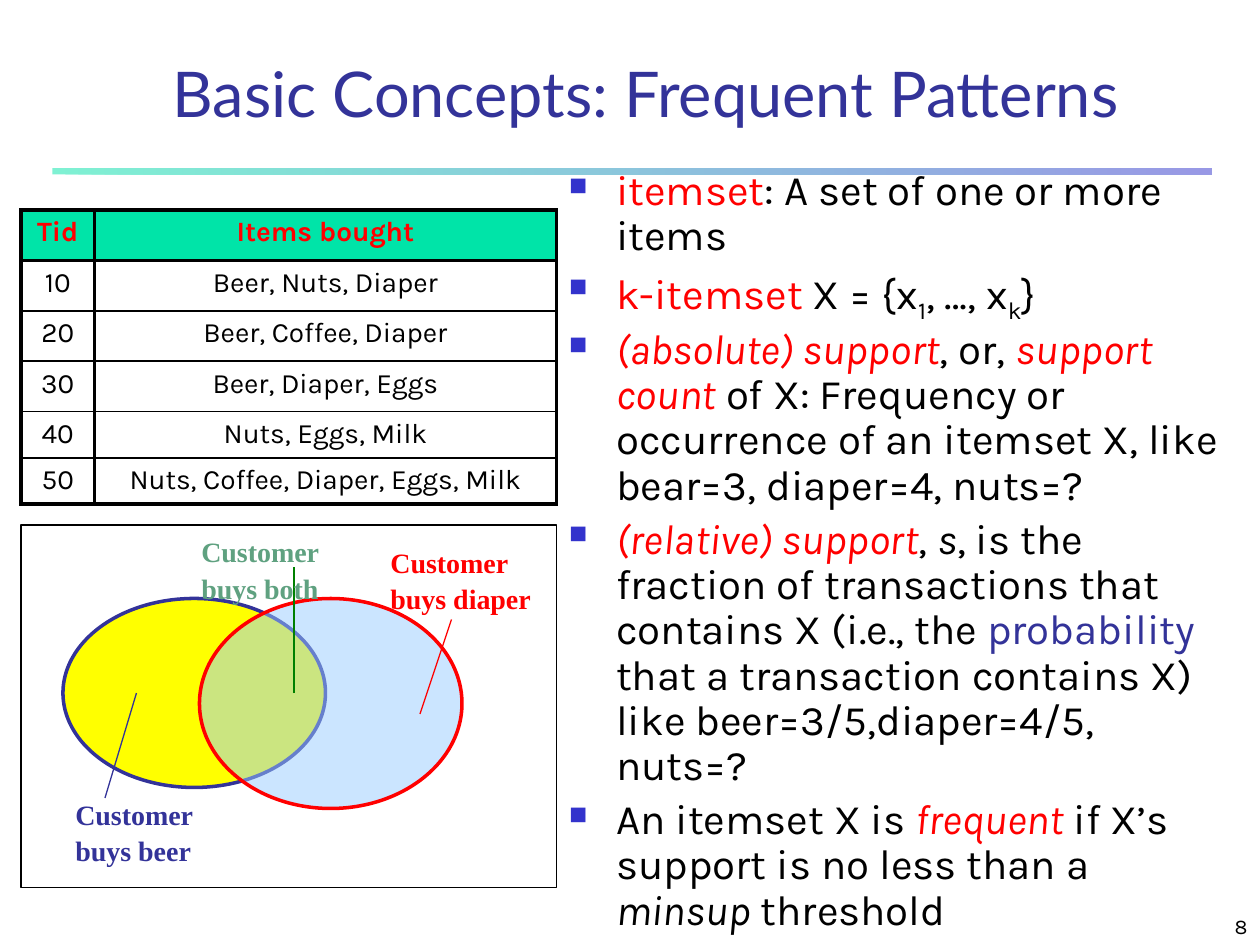
from typing import NamedTuple, Optional

from lxml.etree import SubElement
from pptx import Presentation
from pptx.dml.color import RGBColor
from pptx.enum.shapes import MSO_CONNECTOR, MSO_SHAPE
from pptx.enum.text import MSO_ANCHOR, PP_ALIGN
from pptx.oxml.ns import qn
from pptx.util import Emu, Pt

PX = 7620  # EMU in one px, 120 px to the inch
BLACK, RED, NAVY, BLUE, MINT = "000000", "FF0000", "333399", "3333CC", "00E4A8"
BODY_FONT, TITLE_FONT, LABEL_FONT = "Karla", "Lato", "Times New Roman"


class Span(NamedTuple):
    text: str
    color: str = BLACK
    italic: bool = False
    subscript: bool = False


class Oval(NamedTuple):
    box: tuple
    fill: str
    line: str
    opacity: Optional[int] = None


class Pointer(NamedTuple):
    start: tuple
    end: tuple
    color: str


class Label(NamedTuple):
    box: tuple
    lines: tuple
    color: str


BULLETS = [
    [Span("itemset", RED), Span(": A set of one or more items")],
    [Span("k-itemset", RED), Span(" X = {x"), Span("1", subscript=True),
     Span(", …, x"), Span("k", subscript=True), Span("}")],
    [Span("(absolute) support", RED, True), Span(", or, "),
     Span("support count", RED, True),
     Span(" of X: Frequency or occurrence of an itemset X, like "
          "bear=3, diaper=4, nuts=?")],
    [Span("(relative) support", RED, True), Span(", "), Span("s", italic=True),
     Span(", is the fraction of transactions that contains X (i.e., the "),
     Span("probability", NAVY),
     Span(" that a transaction contains X) like beer=3/5,diaper=4/5, nuts=?")],
    [Span("An itemset X is "), Span("frequent", RED, True),
     Span(" if X’s support is no less than a "),
     Span("minsup", italic=True), Span(" threshold")],
]
OVALS = [
    Oval((60, 570, 250, 180), "FFFF00", NAVY),
    Oval((190, 570, 250, 200), "99CCFF", RED, 50),
]
POINTERS = [
    Pointer((130, 660), (100, 760), NAVY),
    Pointer((400, 680), (430, 590), RED),
    Pointer((280, 660), (280, 540), "008000"),
]
LABELS = [
    Label((360, 510, 160, 83), ("Customer", "buys diaper"), RED),
    Label((180, 500, 137, 83), ("Customer", "buys both"), "5FA180"),
    Label((60, 750, 137, 83), ("Customer", "buys beer"), NAVY),
]
TRANSACTIONS = [
    ("Tid", "Items bought"),
    ("10", "Beer, Nuts, Diaper"),
    ("20", "Beer, Coffee, Diaper"),
    ("30", "Beer, Diaper, Eggs"),
    ("40", "Nuts, Eggs, Milk"),
    ("50", "Nuts, Coffee, Diaper, Eggs, Milk"),
]
COLUMN_WIDTHS = (70, 440)
ROW_HEIGHTS = (48, 48, 48, 48, 44, 44)


def px(*lengths: int) -> list:
    return [Emu(length * PX) for length in lengths]


def rgb(color: str) -> RGBColor:
    return RGBColor.from_string(color)


def set_opacity(shape, percent: int) -> None:
    """Apply to the fill colours; call before the outline is coloured."""
    for color in shape._element.spPr.iter(qn("a:srgbClr")):
        SubElement(color, qn("a:alpha"), val=str(percent * 1000))


def add_span(para, span: Span, font: str, size: int, bold: bool = False) -> None:
    run = para.add_run()
    run.text = span.text
    run.font.name, run.font.size = font, Pt(size)
    run.font.bold, run.font.italic = bold, span.italic
    run.font.color.rgb = rgb(span.color)
    if span.subscript:
        run.font._element.set("baseline", "-25000")


def add_text(page, box: tuple, paras: list, font: str, size: int,
             align=PP_ALIGN.LEFT, anchor=MSO_ANCHOR.TOP, bold: bool = False,
             spacing: Optional[float] = None, bulleted: bool = False):
    frame = page.shapes.add_textbox(*px(*box)).text_frame
    frame.word_wrap = True
    frame.vertical_anchor = anchor
    for index, spans in enumerate(paras):
        para = frame.add_paragraph() if index else frame.paragraphs[0]
        if bulleted:
            add_bullet(para)
            if index:
                para.space_before = Pt(0.2 * size)
        para.alignment = align
        if spacing:
            para.line_spacing = spacing
        for span in spans:
            add_span(para, span, font, size, bold)
    return frame


def add_bullet(para) -> None:
    props = para._p.get_or_add_pPr()
    indent = 45 * PX
    props.set("marL", str(indent))
    props.set("indent", str(-indent))
    SubElement(SubElement(props, qn("a:buClr")), qn("a:srgbClr"), val=BLUE)
    SubElement(props, qn("a:buSzPct"), val="60000")
    SubElement(props, qn("a:buChar"), char="■")


def add_rule(page) -> None:
    rule = page.shapes.add_shape(MSO_SHAPE.RECTANGLE, *px(50, 160, 1104, 6))
    rule.shadow.inherit = False
    rule.fill.gradient()
    rule.fill.gradient_angle = 0
    for stop, color in zip(rule.fill.gradient_stops, (MINT, BLUE)):
        stop.color.rgb = rgb(color)
    set_opacity(rule, 50)
    rule.line.fill.background()


def add_oval(page, oval: Oval) -> None:
    shape = page.shapes.add_shape(MSO_SHAPE.OVAL, *px(*oval.box))
    shape.shadow.inherit = False
    shape.fill.solid()
    shape.fill.fore_color.rgb = rgb(oval.fill)
    if oval.opacity:
        set_opacity(shape, oval.opacity)
    shape.line.color.rgb = rgb(oval.line)
    shape.line.width = Pt(2)


def add_pointer(page, pointer: Pointer) -> None:
    line = page.shapes.add_connector(
        MSO_CONNECTOR.STRAIGHT, *px(*pointer.start, *pointer.end))
    line.line.color.rgb = rgb(pointer.color)
    line.line.width = Pt(0.75)
    SubElement(line._element.spPr, qn("a:effectLst"))


def add_frame(page) -> None:
    frame = page.shapes.add_shape(MSO_SHAPE.RECTANGLE, *px(20, 500, 510, 345))
    frame.shadow.inherit = False
    frame.fill.background()
    frame.line.color.rgb = rgb(BLACK)
    frame.line.width = Pt(0.75)


def set_borders(cell, top: float, bottom: float, side: float = 2.25) -> None:
    props = cell._tc.get_or_add_tcPr()
    for tag, width in (("lnL", side), ("lnR", side), ("lnT", top), ("lnB", bottom)):
        border = SubElement(props, qn("a:" + tag), w=str(Pt(width)))
        SubElement(SubElement(border, qn("a:solidFill")), qn("a:srgbClr"), val=BLACK)


def add_transactions(page) -> None:
    table = page.shapes.add_table(
        len(TRANSACTIONS), len(COLUMN_WIDTHS),
        *px(20, 200, sum(COLUMN_WIDTHS), sum(ROW_HEIGHTS))).table
    table.first_row = table.horz_banding = False
    for column, width in zip(table.columns, px(*COLUMN_WIDTHS)):
        column.width = width
    last = len(TRANSACTIONS) - 1
    for index, (row, height) in enumerate(zip(table.rows, px(*ROW_HEIGHTS))):
        row.height = height
        header = index == 0
        for cell, text in zip(row.cells, TRANSACTIONS[index]):
            set_borders(cell, top=2.25 if index <= 1 else 1,
                        bottom=2.25 if index in (0, last) else 1)
            if header:
                cell.fill.solid()
                cell.fill.fore_color.rgb = rgb(MINT)
            else:
                cell.fill.background()
            para = cell.text_frame.paragraphs[0]
            para.alignment = PP_ALIGN.CENTER
            add_span(para, Span(text, RED if header else BLACK), BODY_FONT, 16, header)


def main() -> None:
    deck = Presentation()
    deck.slide_width, deck.slide_height = px(1200, 900)
    page = deck.slides.add_slide(deck.slide_layouts[6])

    # Heading, rule and page number
    add_rule(page)
    add_text(page, (950, 850, 250, 50), [[Span("8")]], BODY_FONT, 12,
             PP_ALIGN.RIGHT, MSO_ANCHOR.BOTTOM)
    add_text(page, (90, 30, 1050, 100),
             [[Span("Basic Concepts: Frequent Patterns", NAVY)]],
             TITLE_FONT, 36, PP_ALIGN.CENTER, MSO_ANCHOR.BOTTOM)

    # Definitions
    add_text(page, (530, 155, 650, 650), BULLETS, BODY_FONT, 24,
             spacing=0.9, bulleted=True)

    # Venn diagram
    for oval in OVALS:
        add_oval(page, oval)
    for pointer in POINTERS:
        add_pointer(page, pointer)
    for label in LABELS:
        frame = add_text(page, label.box,
                         [[Span(line, label.color)] for line in label.lines],
                         LABEL_FONT, 16, bold=True, spacing=1.1)
        frame.margin_right = 0
    add_frame(page)

    # Transactions
    add_transactions(page)
    deck.save("out.pptx")


if __name__ == "__main__":
    main()
